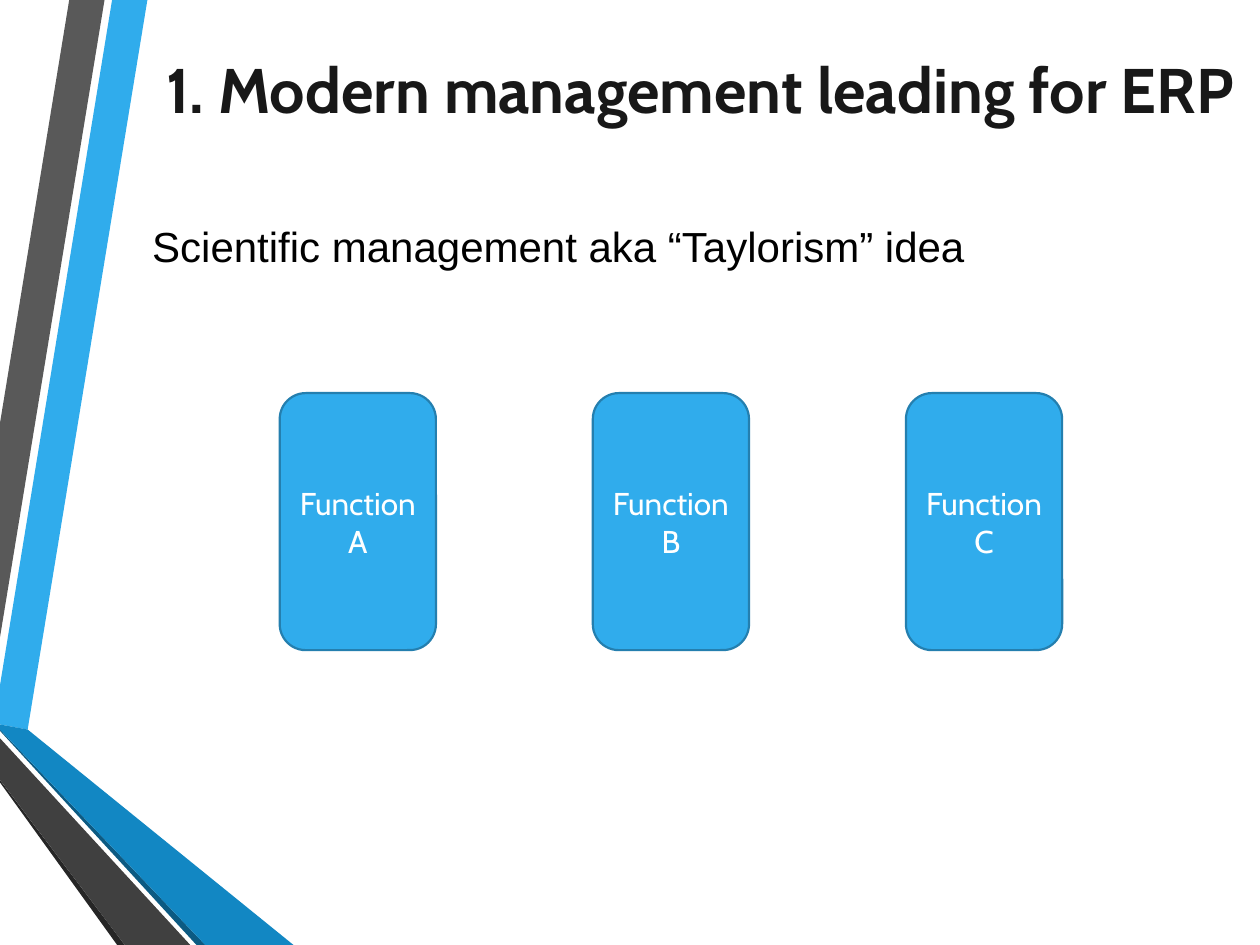
from pptx import Presentation
from pptx.dml.color import RGBColor
from pptx.enum.shapes import MSO_SHAPE
from pptx.enum.text import MSO_ANCHOR, PP_ALIGN
from pptx.util import Inches, Pt

COLORS = {
    "blue": "30ACEC",
    "blue_edge": "247FAF",
    "blue_fold": "1287C3",
    "blue_shade": "0C5A82",
    "gray": "595959",
    "gray_fold": "404040",
    "gray_shade": "262626",
    "title": "181818",
    "body": "000000",
    "white": "FFFFFF",
}

RIBBONS = [
    ("blue", [(0, 5.44), (0, 5.75), (0.22, 5.79), (1.17, 0), (0.89, 0)]),
    ("gray", [(0.83, 0), (0.55, 0), (0, 3.36), (0, 5.06)]),
    ("gray_shade", [(0, 6.19), (0, 6.21), (0.93, 7.5), (0.99, 7.5)]),
    ("blue_shade", [(0, 5.79), (0, 5.8), (1.56, 7.5), (1.63, 7.5)]),
    ("blue_fold", [(0, 5.79), (1.63, 7.5), (2.33, 7.5), (0.22, 5.79), (0, 5.75)]),
    ("gray_fold", [(0, 6.19), (0.99, 7.5), (1.51, 7.5), (0, 5.86)]),
]


def color(name):
    return RGBColor.from_string(COLORS[name])


def add_text(sp, text, font, size, fill, align, bold=False):
    tf = sp.text_frame
    tf.word_wrap = True
    tf.vertical_anchor = MSO_ANCHOR.MIDDLE
    p = tf.paragraphs[0]
    p.alignment = align
    r = p.add_run()
    r.text = text
    r.font.name = font
    r.font.size = Pt(size)
    r.font.bold = bold
    r.font.color.rgb = color(fill)
    return p


def add_ribbons(s, left, top):
    for fill, outline in RIBBONS:
        points = [(Inches(left + x), Inches(top + y)) for x, y in outline]
        builder = s.shapes.build_freeform(*points[0])
        builder.add_line_segments(points[1:], close=True)
        sp = builder.convert_to_shape()
        sp.shadow.inherit = False
        sp.fill.solid()
        sp.fill.fore_color.rgb = color(fill)
        sp.line.fill.background()


def add_title(s, left, top, width, height):
    sp = s.shapes.add_textbox(Inches(left), Inches(top), Inches(width), Inches(height))
    add_text(sp, "1. Modern management leading for ERP", "Cabin", 36, "title",
             PP_ALIGN.CENTER, bold=True)


def add_body(s, left, top, width, height):
    sp = s.shapes.add_textbox(Inches(left), Inches(top), Inches(width), Inches(height))
    p = add_text(sp, "Scientific management aka “Taylorism” idea", "Arial", 24, "body",
                 PP_ALIGN.LEFT)
    p.space_after = Pt(6)


def add_functions(s, left, top, width, height, names, card_width=1.24):
    pitch = (width - card_width) / (len(names) - 1)
    for i, name in enumerate(names):
        sp = s.shapes.add_shape(MSO_SHAPE.ROUNDED_RECTANGLE, Inches(left + i * pitch),
                                Inches(top), Inches(card_width), Inches(height))
        sp.shadow.inherit = False
        sp.fill.solid()
        sp.fill.fore_color.rgb = color("blue")
        sp.line.color.rgb = color("blue_edge")
        sp.line.width = Pt(1.25)
        add_text(sp, f"Function {name}", "Cabin", 18, "white", PP_ALIGN.CENTER)


def main():
    prs = Presentation()
    prs.slide_width = Inches(10)
    prs.slide_height = Inches(7.5)
    s = prs.slides.add_slide(prs.slide_layouts[6])
    add_ribbons(s, 0, 0)
    add_title(s, 1.11, 0, 8.89, 1.4)
    add_body(s, 1.11, 1.4, 8.83, 1.1)
    add_functions(s, 2.22, 3.12, 6.21, 2.04, "ABC")
    prs.save("out.pptx")


if __name__ == "__main__":
    main()
